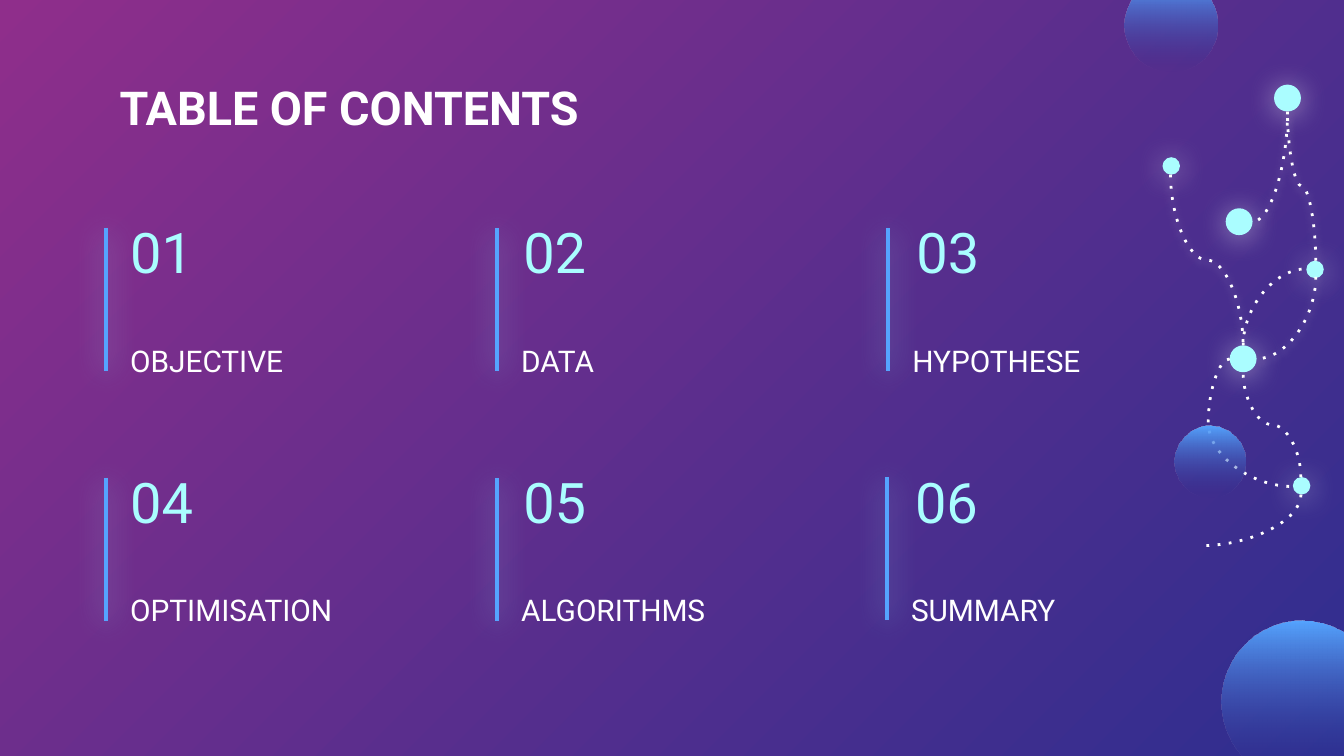
from dataclasses import dataclass
from lxml.etree import SubElement
from pptx import Presentation
from pptx.dml.color import RGBColor
from pptx.enum.shapes import MSO_CONNECTOR, MSO_SHAPE
from pptx.enum.text import MSO_ANCHOR, PP_ALIGN
from pptx.oxml.ns import qn
from pptx.util import Inches, Pt


@dataclass(frozen=True)
class Theme:
    font: str = "Roboto"
    white: str = "FFFFFF"
    cyan: str = "AAFDFF"
    blue: str = "55A4FF"
    plum: str = "8F2E8B"
    navy: str = "2E2E8F"
    title: int = 25
    number: int = 30
    caption: int = 16
    bar: float = 2.25
    dots: float = 1.5
    wide: float = 15.8
    soft: float = 4.5


def write(frame, text, size, color, bold=False, anchor=MSO_ANCHOR.TOP):
    frame.word_wrap = True
    frame.vertical_anchor = anchor
    frame.margin_left = frame.margin_right = Inches(0.1)
    frame.margin_top = frame.margin_bottom = Inches(0.1)
    frame.text = text
    line = frame.paragraphs[0]
    line.alignment = PP_ALIGN.LEFT
    font = line.runs[0].font
    font.name, font.size, font.bold = THEME.font, Pt(size), bold
    font.color.rgb = RGBColor.from_string(color)


def blend(fill, start, end, angle):
    """Two-stop gradient; the angle runs counter-clockwise."""
    fill.gradient()
    fill.gradient_angle = angle
    for stop, color in zip(fill.gradient_stops, (start, end)):
        stop.color.rgb = RGBColor.from_string(color)


def glow(item, color=None, blur=0):
    """Half-clear shadow just below the item, or none without a color."""
    effects = SubElement(item._element.spPr, qn("a:effectLst"))
    if color:
        shadow = SubElement(effects, qn("a:outerShdw"), blurRad=str(Pt(blur)),
                            dist=str(Pt(1.5)), dir="5400000",
                            algn="bl", rotWithShape="0")
        tint = SubElement(shadow, qn("a:srgbClr"), val=color)
        SubElement(tint, qn("a:alpha"), val="50000")


class Board:
    def __init__(self, deck, theme):
        self.theme = theme
        self.slide = deck.slides.add_slide(deck.slide_layouts[5])
        self.shapes = self.slide.shapes
        blend(self.slide.background.fill, theme.plum, theme.navy, 315)

    def title(self, text, x, y, w, h):
        box = self.shapes.title
        box.left, box.top, box.width, box.height = map(Inches, (x, y, w, h))
        write(box.text_frame, text, self.theme.title, self.theme.white, bold=True)

    def text(self, text, x, y, w, h, **style):
        box = self.shapes.add_textbox(*map(Inches, (x, y, w, h)))
        write(box.text_frame, text, **style)

    def line(self, kind, start, end, color, width):
        line = self.shapes.add_connector(kind, *map(Inches, (*start, *end)))
        line.line.color.rgb = RGBColor.from_string(color)
        line.line.width = Pt(width)
        return line

    def bar(self, x, y):
        bar = self.line(MSO_CONNECTOR.STRAIGHT, (x, y), (x, y + 1.06),
                        self.theme.blue, self.theme.bar)
        glow(bar, self.theme.cyan, self.theme.wide)

    def curve(self, start, end, bends=3, turn=True, lit=False, bulge=None):
        """Dotted curve; with turn it leaves its start vertically."""
        (x, y), (u, v) = start, end
        angle = 0
        if turn:
            # The frame lies on its side: swap its extents about the centre.
            angle, sign = (90, 1) if u < x else (270, -1)
            mx, my = (x + u) / 2, (y + v) / 2
            dx, dy = sign * (v - y) / 2, abs(u - x) / 2
            start, end = (mx - dx, my - dy), (mx + dx, my + dy)
        curve = self.line(MSO_CONNECTOR.CURVE, start, end,
                          self.theme.white, self.theme.dots)
        props = curve._element.spPr
        SubElement(props.find(qn("a:ln")), qn("a:prstDash"), val="dot")
        if angle:
            props.find(qn("a:xfrm")).set("rot", str(angle * 60000))
        shape = props.find(qn("a:prstGeom"))
        shape.set("prst", f"curvedConnector{bends}")
        if bulge is not None:
            SubElement(shape.find(qn("a:avLst")), qn("a:gd"), name="adj1",
                       fmla=f"val {round(bulge * 100000)}")
        glow(curve, self.theme.white if lit else None, self.theme.soft)

    def disc(self, x, y, size):
        disc = self.shapes.add_shape(MSO_SHAPE.OVAL,
                                     *map(Inches, (x, y, size, size)))
        disc.line.fill.background()
        return disc

    def node(self, x, y, size):
        node = self.disc(x, y, size)
        node.fill.solid()
        node.fill.fore_color.rgb = RGBColor.from_string(self.theme.cyan)
        glow(node, self.theme.white, self.theme.wide)

    def orb(self, x, y, size):
        """Disc that fades out towards its foot."""
        orb = self.disc(x, y, size)
        blend(orb.fill, self.theme.blue, self.theme.navy, 270)
        last = list(orb._element.spPr.iter(qn("a:srgbClr")))[-1]
        SubElement(last, qn("a:alpha"), val="0")
        glow(orb)


THEME = Theme()
TOPICS = ["OBJECTIVE", "DATA", "HYPOTHESE", "OPTIMISATION", "ALGORITHMS", "SUMMARY"]
BIG, SMALL = 0.2, 0.13


def main():
    deck = Presentation()
    deck.slide_width = Inches(10)
    deck.slide_height = deck.slide_width * 9 // 16
    board = Board(deck, THEME)
    board.title("TABLE OF CONTENTS", 0.79, 0.49, 8.43, 0.63)

    for i, topic in enumerate(TOPICS):
        row, col = divmod(i, 3)
        nudge = 0.01 if topic == "SUMMARY" else 0
        x = 0.79 + 2.91 * col - nudge
        y = 1.7 + 1.86 * row
        board.bar(x, y - nudge)
        board.text(f"{i + 1:02}", x + 0.08 + 0.015 * col, y - 0.08, 1.12, 0.49,
                   size=THEME.number, color=THEME.cyan, anchor=MSO_ANCHOR.MIDDLE)
        board.text(topic, x + 0.08, 2.35 + 1.85 * row,
                   2.89 if topic == "HYPOTHESE" else 2.52, 0.57,
                   size=THEME.caption, color=THEME.white, anchor=MSO_ANCHOR.BOTTOM)

    for x, y, size in [(9.12, 1.55, BIG), (9.15, 2.57, BIG), (8.65, 1.17, SMALL),
                       (9.72, 1.94, SMALL), (9.48, 0.63, BIG), (9.62, 3.55, SMALL)]:
        board.node(x, y, size)

    board.curve((9.25, 2.57), (9.72, 2), bends=2)
    board.curve((8.71, 1.3), (9.25, 2.57), lit=True)
    board.curve((9.79, 1.94), (9.58, 0.83), lit=True)
    board.curve((9.79, 2.06), (9.35, 2.67), bends=2, lit=True)
    board.curve((9.58, 0.83), (9.32, 1.65), bends=2, lit=True)
    board.curve((9.15, 2.67), (9.62, 3.62), turn=False, bulge=-0.34)
    board.curve((9.68, 3.68), (8.94, 4.06), bends=2)
    board.curve((9.68, 3.55), (9.25, 2.77))

    for x, y, size in [(8.37, -0.16, 0.69), (9.09, 4.62, 1.2), (8.74, 3.17, 0.53)]:
        board.orb(x, y, size)
    deck.save("out.pptx")


if __name__ == "__main__":
    main()
